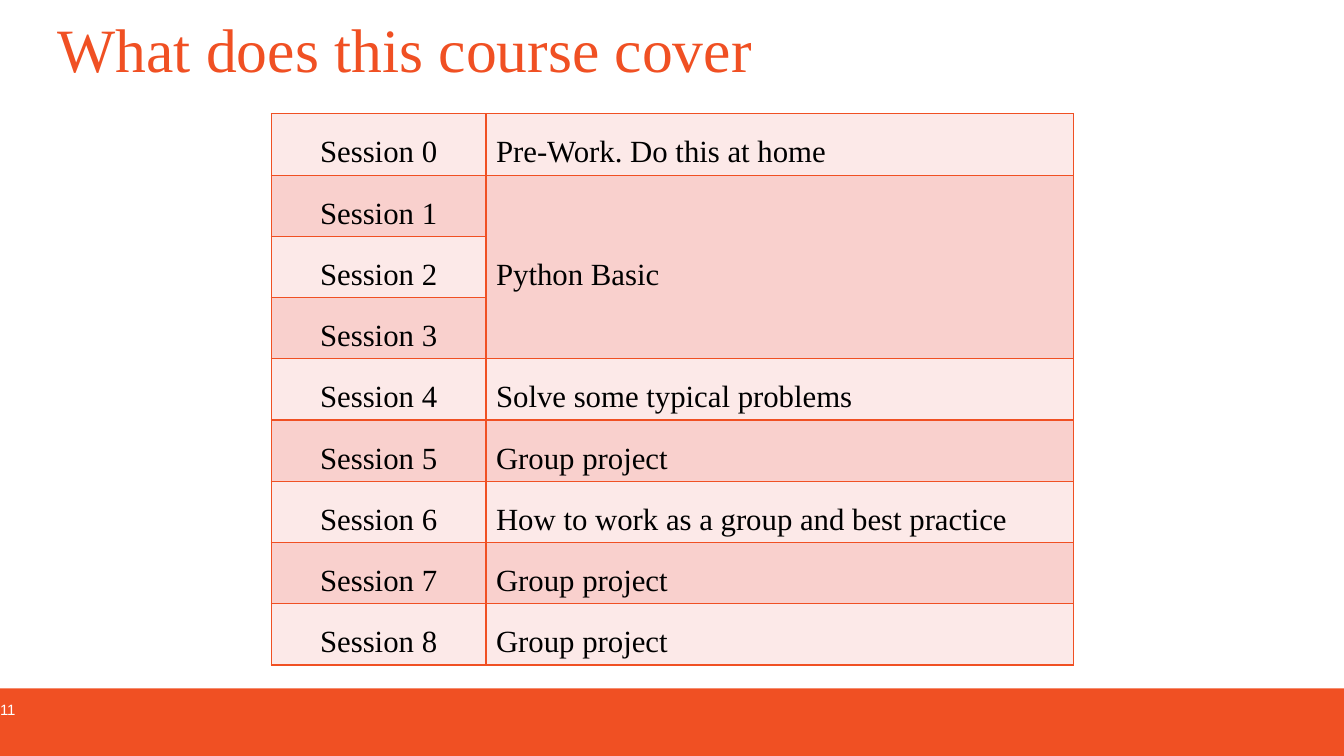
import pptx
import pptx.util
import pptx.dml.color
import pptx.enum.text
import pptx.enum.shapes
import pptx.oxml.ns
import lxml.etree

TITLE = "What does this course cover"
PAGE = "11"
TOPICS = [
    ("Pre-Work. Do this at home", 1),
    ("Python Basic", 3),
    ("Solve some typical problems", 1),
    ("Group project", 1),
    ("How to work as a group and best practice", 1),
    ("Group project", 1),
    ("Group project", 1),
]
COLORS = {"brand": "F05023", "pale": "FCE9E8", "rose": "F9D0CD",
          "ink": "000000", "white": "FFFFFF"}
SERIF = "Times New Roman"
WIDE, HIGH = 13.33, 7.5
COLS = (2.13, 5.83)
LEFT, TOP = 2.69, 1.13
TALL = 5.47
BAR = 0.67

Inch = pptx.util.Inches
Pt = pptx.util.Pt
Align = pptx.enum.text.PP_ALIGN
Anchor = pptx.enum.text.MSO_ANCHOR
CELL = {"vertical_anchor": Anchor.MIDDLE,
        "margin_top": Inch(0.02), "margin_bottom": Inch(0.03)}


def tint(name):
    return pptx.dml.color.RGBColor.from_string(COLORS[name])


def paint(item, name):
    item.fill.solid()
    item.fill.fore_color.rgb = tint(name)


def dress(item, form):
    for key, val in form.items():
        setattr(item, key, val)


def write(frame, text, size, face, color, align, space):
    para = frame.paragraphs[0]
    dress(para, {"alignment": align, "line_spacing": space})
    run = para.add_run()
    run.text = text
    dress(run.font, {"size": Pt(size), "name": face})
    run.font.color.rgb = tint(color)


def label(slide, spot, inset, *style):
    frame = slide.shapes.add_textbox(*map(Inch, spot)).text_frame
    dress(frame, {"word_wrap": True, "vertical_anchor": Anchor.TOP,
                  "margin_left": 0, "margin_right": 0,
                  "margin_top": Inch(inset), "margin_bottom": 0})
    write(frame, *style)


def border(cell):
    props = cell._tc.get_or_add_tcPr()
    qn = pptx.oxml.ns.qn
    for spot, side in enumerate(("a:lnL", "a:lnR", "a:lnT", "a:lnB")):
        line = lxml.etree.Element(qn(side), w=str(Pt(1)))
        fill = lxml.etree.SubElement(line, qn("a:solidFill"))
        lxml.etree.SubElement(fill, qn("a:srgbClr"), val=COLORS["brand"])
        props.insert(spot, line)


def plan(slide):
    count = sum(span for _, span in TOPICS)
    spot = (LEFT, TOP, sum(COLS), TALL)
    grid = slide.shapes.add_table(count, len(COLS), *map(Inch, spot)).table
    for col, size in zip(grid.columns, COLS):
        col.width = Inch(size)
    for num, row in enumerate(grid.rows):
        row.height = Inch(TALL / count)
        for cell in row.cells:
            dress(cell, CELL)
            paint(cell, "rose" if num % 2 else "pale")
            border(cell)
        write(grid.cell(num, 0).text_frame, f"Session {num}",
              22, SERIF, "ink", Align.CENTER, 1.5)
    start = 0
    for topic, span in TOPICS:
        cell = grid.cell(start, 1)
        if span > 1:
            cell.merge(grid.cell(start + span - 1, 1))
        write(cell.text_frame, topic, 22, SERIF, "ink", Align.LEFT, 1.5)
        start += span


def main():
    deck = pptx.Presentation()
    deck.slide_width, deck.slide_height = Inch(WIDE), Inch(HIGH)
    slide = deck.slides.add_slide(deck.slide_layouts[6])
    base = HIGH - BAR
    bar = slide.shapes.add_shape(pptx.enum.shapes.MSO_SHAPE.RECTANGLE,
                                 *map(Inch, (0, base, WIDE, BAR)))
    bar.shadow.inherit = False
    paint(bar, "brand")
    bar.line.fill.background()
    label(slide, (0, base + 0.01, 0.42, 0.66), 0.1,
          PAGE, 10.7, "Arial", "white", Align.LEFT, Pt(13.3))
    label(slide, (0.57, 0.21, 12.48, 0.64), 0,
          TITLE, 44, SERIF, "brand", Align.LEFT, Pt(45.3))
    plan(slide)
    deck.save("out.pptx")


if __name__ == "__main__":
    main()
